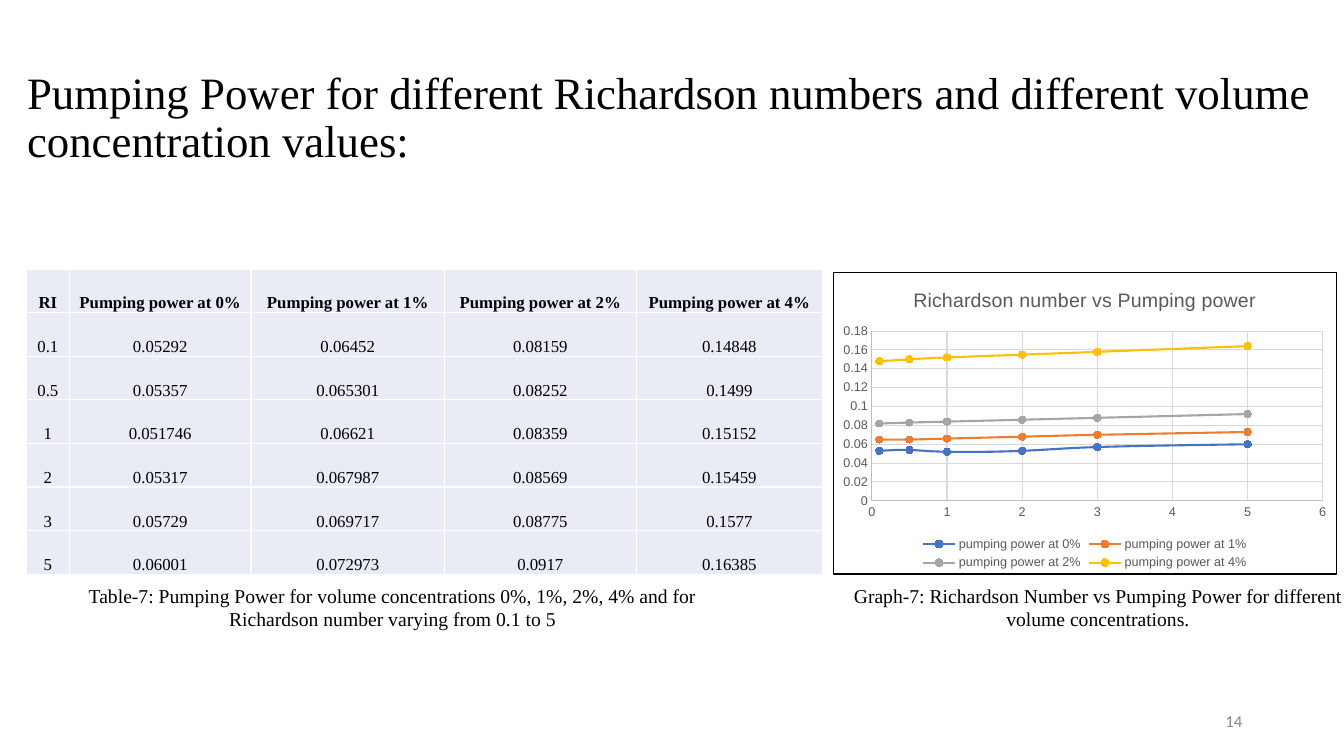
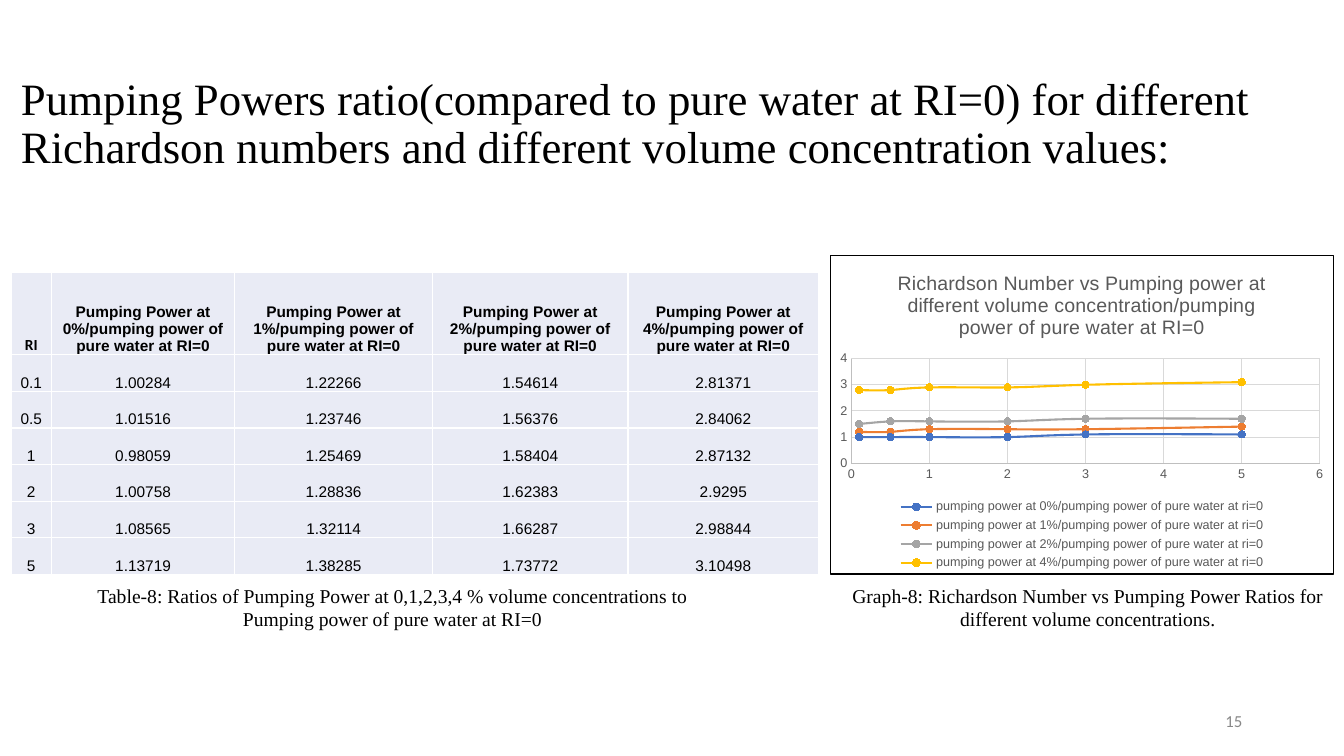
from dataclasses import dataclass

from pptx import Presentation
from pptx import util as u
from pptx.chart import data as chart_data
from pptx.dml.color import RGBColor
from pptx.enum import chart as ch, text as tx
from pptx.oxml import parse_xml
from pptx.oxml.ns import nsdecls, qn


@dataclass(frozen=True)
class Theme:
    """Colours, fonts and type sizes shared by the slides."""
    ink: str = "000000"
    page_grey: str = "888888"
    chart_grey: str = "595959"
    axis: str = "BFBFBF"
    grid: str = "D9D9D9"
    cell: str = "E9EBF5"
    cell_border: str = "FFFFFF"
    series: tuple = ("4472C4", "ED7D31", "A5A5A5", "FFC000")
    serif: str = "Times New Roman"
    sans: str = "Arial"
    plain: str = "Calibri"
    title_pt: int = 32
    caption_pt: int = 14
    page_pt: int = 12
    chart_title_pt: int = 14
    chart_pt: int = 10
    axis_pt: int = 9


def line_xml(tag, color, points):
    return parse_xml(
        f'<a:{tag} {nsdecls("a")} w="{u.Pt(points)}"><a:solidFill>'
        f'<a:srgbClr val="{color}"/></a:solidFill></a:{tag}>')


def style_font(font, face, size, color, bold=False):
    font.name, font.size, font.bold = face, u.Pt(size), bold
    font.color.rgb = RGBColor.from_string(color)


def style_line(line, color, points=0.75):
    line.color.rgb = RGBColor.from_string(color)
    line.width = u.Pt(points)


class Deck:
    def __init__(self, theme):
        self.theme = theme
        self.prs = Presentation()
        self.prs.slide_width, self.prs.slide_height = u.Inches(13.33), u.Inches(7.5)
        self.slide = None

    def new_slide(self):
        self.slide = self.prs.slides.add_slide(self.prs.slide_layouts[6])

    def text(self, words, box, face, size, color, align, anchor, spacing=1.0):
        frame = self.slide.shapes.add_textbox(*map(u.Inches, box)).text_frame
        frame.word_wrap = True
        frame.vertical_anchor = anchor
        paragraph = frame.paragraphs[0]
        paragraph.text = words
        paragraph.alignment = align
        paragraph.line_spacing = spacing
        style_font(paragraph.runs[0].font, face, size, color)

    def title(self, words, box):
        t = self.theme
        self.text(words, box, t.serif, t.title_pt, t.ink,
                  tx.PP_ALIGN.LEFT, tx.MSO_ANCHOR.MIDDLE, 0.9)

    def caption(self, words, left, width):
        t = self.theme
        self.text(words, (left, 5.74, width, 0.57), t.serif, t.caption_pt, t.ink,
                  tx.PP_ALIGN.CENTER, tx.MSO_ANCHOR.TOP)

    def page_number(self, number):
        t = self.theme
        self.text(str(number), (9.42, 6.95, 3, 0.4), t.plain, t.page_pt, t.page_grey,
                  tx.PP_ALIGN.RIGHT, tx.MSO_ANCHOR.MIDDLE)

    def table(self, rows, box, widths, header_height, face, size, corner_face):
        table = self.slide.shapes.add_table(
            len(rows), len(widths), *map(u.Inches, box)).table
        table.first_row = table.horz_banding = False
        for column, width in zip(table.columns, widths):
            column.width = u.Inches(width)
        body_height = (box[3] - header_height) / (len(rows) - 1)
        for r, values in enumerate(rows):
            table.rows[r].height = u.Inches(body_height if r else header_height)
            for c, value in enumerate(values):
                cell_face = corner_face if r == c == 0 else face
                self.cell(table.cell(r, c), str(value), cell_face, size, r == 0)

    def cell(self, cell, words, face, size, bold):
        t = self.theme
        cell.margin_left = cell.margin_right = cell.margin_top = u.Inches(0.01)
        cell.margin_bottom = 0
        cell.vertical_anchor = tx.MSO_ANCHOR.BOTTOM
        cell.fill.solid()
        cell.fill.fore_color.rgb = RGBColor.from_string(t.cell)
        properties = cell._tc.get_or_add_tcPr()
        for position, edge in enumerate(("lnL", "lnR", "lnT", "lnB")):
            properties.insert(position, line_xml(edge, t.cell_border, 1))
        paragraph = cell.text_frame.paragraphs[0]
        paragraph.text = words
        paragraph.alignment = tx.PP_ALIGN.CENTER
        style_font(paragraph.runs[0].font, face, size, t.ink, bold)

    def chart(self, heading, names, rows, digits, box, top, step):
        t = self.theme
        data = chart_data.XyChartData()
        for column, name in enumerate(names, start=1):
            series = data.add_series(name)
            for row in rows:
                series.add_data_point(row[0], round(row[column], digits))
        chart = self.slide.shapes.add_chart(
            ch.XL_CHART_TYPE.XY_SCATTER_SMOOTH, *map(u.Inches, box), data).chart
        style_font(chart.font, t.sans, t.chart_pt, t.ink)

        # Heading and legend
        chart.has_title = True
        chart.chart_title.text_frame.text = heading
        chart.chart_title.include_in_layout = False
        run = chart.chart_title.text_frame.paragraphs[0].runs[0]
        style_font(run.font, t.sans, t.chart_title_pt, t.chart_grey)
        chart.has_legend = True
        chart.legend.position = ch.XL_LEGEND_POSITION.BOTTOM
        chart.legend.include_in_layout = False
        style_font(chart.legend.font, t.sans, t.axis_pt, t.chart_grey)

        # Axes
        for axis, limit, unit in ((chart.category_axis, 6, 1),
                                  (chart.value_axis, top, step)):
            axis.minimum_scale, axis.maximum_scale, axis.major_unit = 0, limit, unit
            axis.major_tick_mark = axis.minor_tick_mark = ch.XL_TICK_MARK.NONE
            axis.has_major_gridlines = True
            style_line(axis.major_gridlines.format.line, t.grid)
            style_line(axis.format.line, t.axis)
            style_font(axis.tick_labels.font, t.sans, t.axis_pt, t.chart_grey)

        # Curves
        plot = chart.plots[0]
        plot.vary_by_categories = False
        for series, color in zip(plot.series, t.series):
            style_line(series.format.line, color, 1.5)
            series.marker.style = ch.XL_MARKER_STYLE.CIRCLE
            series.marker.size = 5
            series.marker.format.fill.solid()
            series.marker.format.fill.fore_color.rgb = RGBColor.from_string(color)
            style_line(series.marker.format.line, color)
        for smooth in chart.element.iter(qn("c:smooth")):
            smooth.set("val", "1")

        # Frame around the chart
        frame = parse_xml(f'<c:spPr {nsdecls("c", "a")}/>')
        frame.append(line_xml("ln", t.ink, 0.75))
        chart.element.find(qn("c:txPr")).addprevious(frame)


CONCENTRATIONS = ("0%", "1%", "2%", "4%")

POWER = [
    (0.1, 0.05292, 0.06452, 0.08159, 0.14848),
    (0.5, 0.05357, 0.065301, 0.08252, 0.1499),
    (1, 0.051746, 0.06621, 0.08359, 0.15152),
    (2, 0.05317, 0.067987, 0.08569, 0.15459),
    (3, 0.05729, 0.069717, 0.08775, 0.1577),
    (5, 0.06001, 0.072973, 0.0917, 0.16385),
]

POWER_RATIO = [
    (0.1, 1.00284, 1.22266, 1.54614, 2.81371),
    (0.5, 1.01516, 1.23746, 1.56376, 2.84062),
    (1, 0.98059, 1.25469, 1.58404, 2.87132),
    (2, 1.00758, 1.28836, 1.62383, 2.9295),
    (3, 1.08565, 1.32114, 1.66287, 2.98844),
    (5, 1.13719, 1.38285, 1.73772, 3.10498),
]


def headed(label, rows):
    return [("RI", *(label.format(c) for c in CONCENTRATIONS)), *rows]


def curve_names(label):
    return [label.format(c) for c in CONCENTRATIONS]


def main():
    theme = Theme()
    deck = Deck(theme)

    # Pumping power
    deck.new_slide()
    deck.title("Pumping Power for different Richardson numbers and different "
               "volume concentration values:", (0.17, 0.55, 13.08, 1.26))
    deck.page_number(14)
    deck.table(headed("Pumping power at {}", POWER), (0.26, 2.67, 7.9, 3.03),
               (0.43, 1.8, 1.92, 1.9, 1.85), 0.43, theme.serif, 12, theme.serif)
    deck.chart("Richardson number vs Pumping power",
               curve_names("pumping power at {}"), POWER, 3,
               (8.26, 2.7, 5, 3), 0.18, 0.02)
    deck.caption("Table-7: Pumping Power for volume concentrations 0%, 1%, 2%, 4% "
                 "and for Richardson number varying from 0.1 to 5", 0.56, 6.67)
    deck.caption("Graph-7: Richardson Number vs Pumping Power for different "
                 "volume concentrations.", 8.33, 5.12)

    # Pumping power ratio
    deck.new_slide()
    deck.title("Pumping Powers ratio(compared to pure water at RI=0) for different "
               "Richardson numbers and different volume concentration values:",
               (0.11, 0.58, 12.93, 1.32))
    deck.page_number(15)
    deck.table(headed("Pumping Power at {}/pumping power of pure water at RI=0",
                      POWER_RATIO), (0.11, 2.7, 8.02, 3),
               (0.4, 1.82, 1.96, 1.94, 1.89), 0.82, theme.sans, 11, theme.plain)
    deck.chart("Richardson Number vs Pumping power at different volume "
               "concentration/pumping power of pure water at RI=0",
               curve_names("pumping power at {}/pumping power of pure water at ri=0"),
               POWER_RATIO, 1, (8.23, 2.53, 5, 3.17), 4, 1)
    deck.caption("Table-8: Ratios of Pumping Power at 0,1,2,3,4 % volume "
                 "concentrations to Pumping power of pure water at RI=0", 0.56, 6.67)
    deck.caption("Graph-8: Richardson Number vs Pumping Power Ratios for different "
                 "volume concentrations.", 8.23, 5.12)

    deck.prs.save("out.pptx")


if __name__ == "__main__":
    main()
